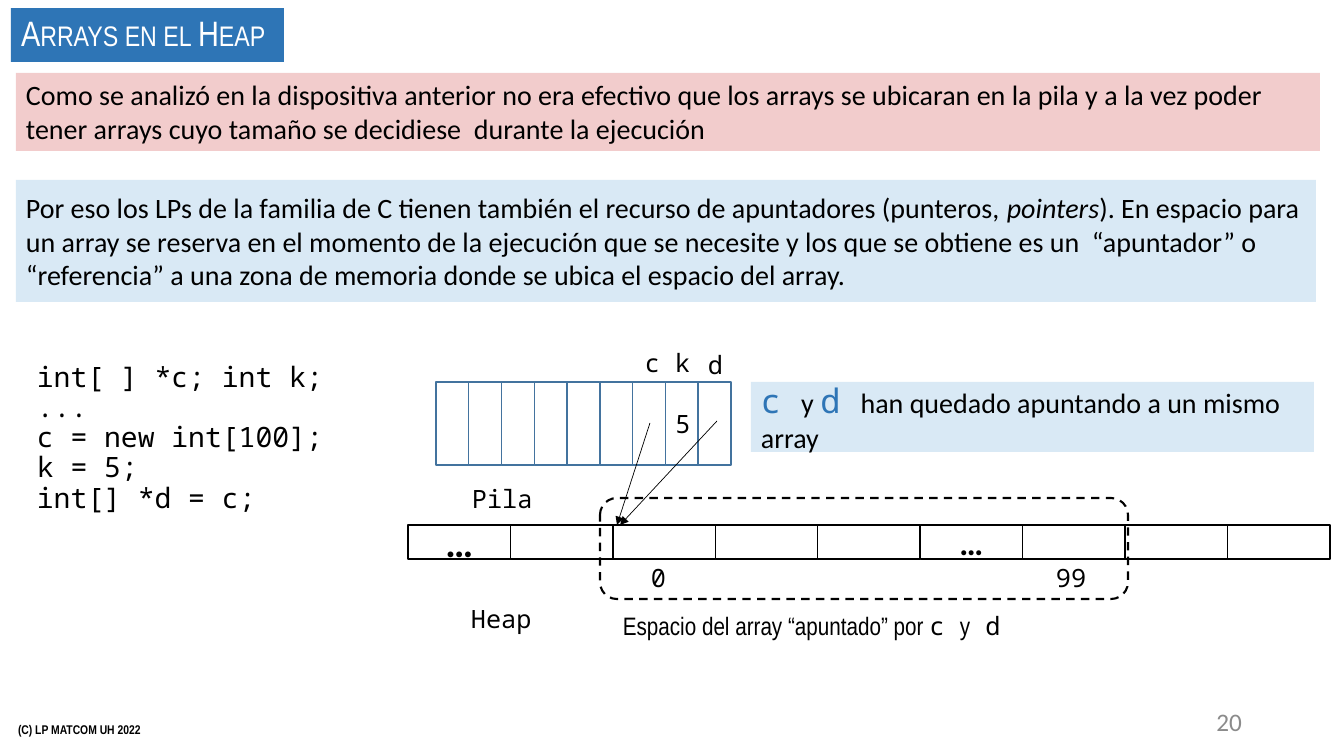
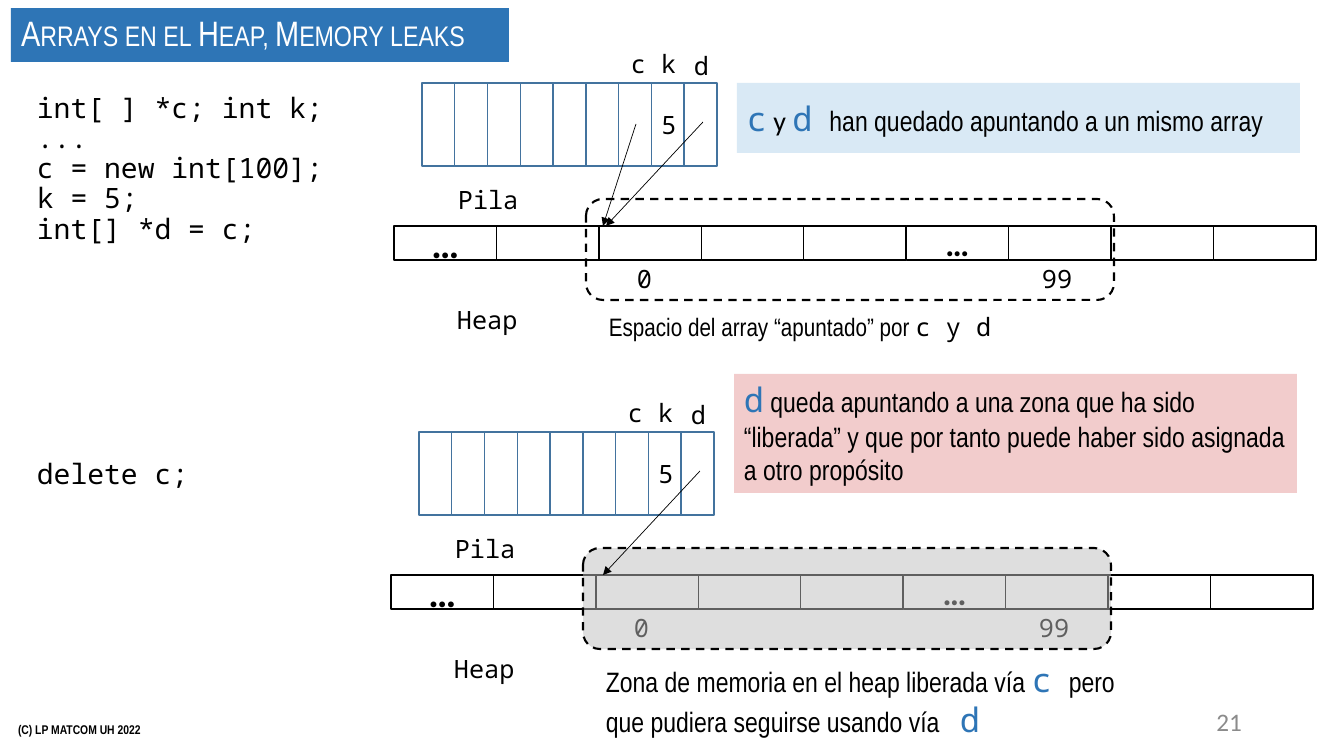
import copy
import typing

import pptx
import pptx.dml.color
import pptx.enum.dml
import pptx.enum.shapes
import pptx.enum.text
import pptx.oxml
import pptx.oxml.ns
import pptx.util

RGB = pptx.dml.color.RGBColor
SHAPE = pptx.enum.shapes.MSO_SHAPE
HOLDER = pptx.enum.shapes.PP_PLACEHOLDER
ANCHOR = pptx.enum.text.MSO_ANCHOR
ALIGN = pptx.enum.text.PP_ALIGN
qn = pptx.oxml.ns.qn

BLACK = RGB(0x00, 0x00, 0x00)
WHITE = RGB(0xFF, 0xFF, 0xFF)
BLUE = RGB(0x2E, 0x75, 0xB6)
STACK_LINE = RGB(0x43, 0x73, 0x9E)
RED_TINT = RGB(0xC0, 0x00, 0x00)
BLUE_TINT = RGB(0x00, 0x70, 0xC0)
FREED_GRAY = RGB(0xBF, 0xBF, 0xBF)

EMU_PER_PX = 914400 / 100.8
SLIDE_SIZE = (1344, 756)
FIRST_NUMBER = 20
FOOTER = "(C) LP MATCOM UH 2022"
TITLE_LEFT, TITLE_TOP, TITLE_HEIGHT = 11, 8, 54
STACK_CELLS, STACK_SPAN, STACK_HEIGHT = 9, 295, 83
HEAP_CELLS, HEAP_SPAN, HEAP_TOP, HEAP_HEIGHT = 9, 922, 143, 34
CALLOUT_LEFT, CALLOUT_WIDTH = 343, 563


class Style(typing.NamedTuple):
    """Look of a run of text."""
    font: str
    size: float
    color: RGB = BLACK
    bold: bool = False
    italic: bool = False


TITLE = Style("Arial Narrow", 25.2, WHITE)
FOOT = Style("Arial Narrow", 9, bold=True)
BODY = Style("Calibri", 20)
BODY_ITALIC = BODY._replace(italic=True)
NARROW = Style("Arial Narrow", 20)
NARROW_SMALL = Style("Arial Narrow", 18)
CODE = Style("Noto Sans Mono", 20)
LABEL = Style("Noto Sans Mono", 18)
VARIABLE = Style("Noto Sans Mono", 24, BLUE)

CODE_LINES = ["int[ ] *c; int k;", "...", "c = new int[100];", "k = 5;", "int[] *d = c;"]


def px(length):
    """Turn pixels into EMU."""
    return pptx.util.Emu(round(length * EMU_PER_PX))


def place(shape, box):
    """Move and size a shape to a box in pixels."""
    shape.left, shape.top, shape.width, shape.height = map(px, box)


def format_run(run, style):
    """Apply a style to a run."""
    run.font.name = style.font
    run.font.size = pptx.util.Pt(style.size)
    run.font.color.rgb = style.color
    run.font.bold = style.bold
    run.font.italic = style.italic


def write(shape, parts, anchor=ANCHOR.TOP, align=ALIGN.LEFT):
    """Write one paragraph of (text, style) parts into a shape."""
    frame = shape.text_frame
    frame.word_wrap = True
    frame.vertical_anchor = anchor
    paragraph = frame.paragraphs[0]
    paragraph.alignment = align
    for text, style in parts:
        run = paragraph.add_run()
        run.text = text
        format_run(run, style)


def add_text(slide, box, parts):
    """Add a text box."""
    holder = slide.shapes.add_textbox(*map(px, box))
    write(holder, parts)


def add_box(slide, kind, box, fill=None, opacity=100, line=None, width=1):
    """Add a preset shape with an optional fill and outline."""
    shape = slide.shapes.add_shape(kind, *map(px, box))
    shape.shadow.inherit = False
    if fill is None:
        shape.fill.background()
    else:
        shape.fill.solid()
        shape.fill.fore_color.rgb = fill
        if opacity < 100:
            color = shape.fill._xPr.find(qn("a:solidFill"))[0]
            alpha = pptx.oxml.parse_xml(
                f'<a:alpha {pptx.oxml.ns.nsdecls("a")} val="{opacity * 1000}"/>')
            color.append(alpha)
    if line is None:
        shape.line.fill.background()
    else:
        shape.line.color.rgb = line
        shape.line.width = pptx.util.Pt(width)
    return shape


def add_note(slide, box, parts, tint, opacity, anchor=ANCHOR.MIDDLE):
    """Add a tinted panel of text."""
    panel = add_box(slide, SHAPE.RECTANGLE, box, tint, opacity)
    write(panel, parts, anchor)


def add_pointer(slide, start, end):
    """Add a thin arrow from start to end."""
    arrow = slide.shapes.add_connector(
        pptx.enum.shapes.MSO_CONNECTOR.STRAIGHT, *map(px, start + end))
    arrow.line.color.rgb = BLACK
    arrow.line.width = pptx.util.Pt(0.5)
    namespace = pptx.oxml.ns.nsdecls("a")
    arrow.line._get_or_add_ln().append(
        pptx.oxml.parse_xml(f'<a:tailEnd {namespace} type="triangle"/>'))
    arrow._element.spPr.append(pptx.oxml.parse_xml(f"<a:effectLst {namespace}/>"))


def add_code(slide, top, lines):
    """Add a listing whose lines hang by half an inch."""
    listing = slide.shapes.add_textbox(*map(px, (27, top, 350, 10 + 31 * len(lines))))
    frame = listing.text_frame
    frame.word_wrap = True
    frame.text = "\n".join(lines)
    hang = pptx.util.Inches(0.5)
    for paragraph in frame.paragraphs:
        paragraph.line_spacing = 0.9
        properties = paragraph._p.get_or_add_pPr()
        properties.set("marL", str(hang))
        properties.set("indent", str(-hang))
        format_run(paragraph.runs[0], CODE)


def add_cells(slide, box, count, texts, fill, line):
    """Split a box into a row of equal cells, some of them with text."""
    left, top, span, height = box
    pitch = span / count
    for index in range(count):
        cell = add_box(slide, SHAPE.RECTANGLE,
                       (left + index * pitch, top, pitch, height), fill, line=line)
        if index in texts:
            write(cell, [texts[index]], ANCHOR.MIDDLE, ALIGN.CENTER)


def add_memory(slide, left, top, caption, freed=False):
    """Draw the stack above the heap; left is the heap's, top the stack's."""
    ellipsis = Style("Calibri", 28, bold=True)
    add_cells(slide, (left, top + HEAP_TOP, HEAP_SPAN, HEAP_HEIGHT), HEAP_CELLS,
              {0: ("…", ellipsis), 5: ("…", ellipsis._replace(size=24))}, None, BLACK)
    add_cells(slide, (left + 28, top, STACK_SPAN, STACK_HEIGHT), STACK_CELLS,
              {7: ("5", LABEL)}, WHITE, STACK_LINE)
    labels = [("c", 227, -40, 30), ("k", 257, -40, 30), ("d", 290, -38, 30),
              ("Pila", 54, 96, 192), ("Heap", 53, 216, 83),
              ("0", 233, 175, 83), ("99", 638, 175, 83)]
    for text, across, down, width in labels:
        add_text(slide, (left + across, top + down, width, 40), [(text, LABEL)])
    array = add_box(slide, SHAPE.ROUNDED_RECTANGLE, (left + 192, top + 116, 528, 101),
                    FREED_GRAY if freed else None, 50, BLACK, 1.5)
    array.line.dash_style = pptx.enum.dml.MSO_LINE.DASH
    if not freed:
        add_pointer(slide, (left + 242, top + 41), (left + 209, top + HEAP_TOP))
    add_pointer(slide, (left + 309, top + 39), (left + 212, top + HEAP_TOP))
    add_text(slide, (left + 205, top + (222 if freed else 223), 534, 92 if freed else 40),
             caption)


def start_slide(deck, title, title_width):
    """Add a slide with its title band, footer and number."""
    slide = deck.slides.add_slide(deck.slide_layouts[5])
    band = slide.shapes.title
    place(band, (TITLE_LEFT, TITLE_TOP, title_width, TITLE_HEIGHT))
    band.fill.solid()
    band.fill.fore_color.rgb = BLUE
    write(band, [(title, TITLE)], ANCHOR.MIDDLE)
    heading = band.text_frame.paragraphs[0]
    heading.line_spacing = 0.9
    heading.runs[0].font._element.set("cap", "small")

    for source in slide.slide_layout.placeholders:
        kind = source.placeholder_format.type
        if kind not in (HOLDER.FOOTER, HOLDER.SLIDE_NUMBER):
            continue
        slide.shapes.element.append(copy.deepcopy(source.element))
        holder = slide.shapes[-1]
        if kind == HOLDER.FOOTER:
            place(holder, (8, 709, 454, 40))
            write(holder, [(FOOTER, FOOT)], ANCHOR.MIDDLE)
        else:
            place(holder, (950, 701, 302, 40))
            for number in holder.element.iter(qn("a:t")):
                number.text = str(FIRST_NUMBER + len(deck.slides) - 1)
    return slide


def build_heap_slide(deck):
    """Arrays placed in the heap."""
    slide = start_slide(deck, "Arrays en el Heap", 273)
    add_note(slide, (16, 73, 1304, 78), [
        ("Como se analizó en la dispositiva anterior no era efectivo que los arrays se "
         "ubicaran en la pila y a la vez poder tener arrays cuyo tamaño se decidiese  "
         "durante la ejecución", BODY)], RED_TINT, 20, ANCHOR.TOP)
    add_note(slide, (16, 180, 1300, 122), [
        ("Por eso los LPs de la familia de C tienen también el recurso de apuntadores "
         "(punteros, ", BODY),
        ("pointers", BODY_ITALIC),
        ("). En espacio para un array se reserva en el momento de la ejecución que se "
         "necesite y los que se obtiene es un  “apuntador” o “referencia” a una zona de "
         "memoria donde se ubica el espacio del array.", BODY)], BLUE_TINT, 15)
    add_code(slide, 358, CODE_LINES)
    left, top = 408, 382
    add_memory(slide, left, top, [
        ("Espacio del array “apuntado” por ", NARROW_SMALL), ("c ", LABEL),
        ("y", NARROW_SMALL), (" d", LABEL)])
    add_note(slide, (left + CALLOUT_LEFT, top, CALLOUT_WIDTH, 70), [
        ("c ", VARIABLE), ("y ", BODY), ("d ", VARIABLE),
        ("han quedado apuntando a un mismo array", BODY)], BLUE_TINT, 15)


def build_leak_slide(deck):
    """Memory before and after the array is freed."""
    slide = start_slide(deck, "Arrays en el Heap, Memory leaks", 498)
    add_code(slide, 89, CODE_LINES)
    left, top = 394, 83
    add_memory(slide, left, top, [
        ("Espacio del array “apuntado” por ", NARROW_SMALL), ("c y d", LABEL)])
    add_note(slide, (left + CALLOUT_LEFT, top, CALLOUT_WIDTH, 70), [
        ("c", VARIABLE), (" y ", BODY), ("d", VARIABLE), (" ", CODE),
        ("han quedado apuntando a un mismo array", NARROW)], BLUE_TINT, 15)

    add_code(slide, 455, ["delete c;"])
    left, top = 391, 432
    add_memory(slide, left, top, [
        ("Zona de memoria en el heap liberada vía ", NARROW), ("c", VARIABLE),
        (" ", CODE), ("pero que pudiera seguirse usando vía", NARROW),
        (" d", VARIABLE)], freed=True)
    add_note(slide, (left + CALLOUT_LEFT, top - 58, CALLOUT_WIDTH, 119), [
        ("d", VARIABLE), (" ", BODY),
        ("queda apuntando a una zona que ha sido “liberada” y que por tanto puede haber "
         "sido asignada a otro propósito", NARROW)], RED_TINT, 20, ANCHOR.TOP)


def main():
    """Build and save the presentation."""
    deck = pptx.Presentation()
    deck.slide_width, deck.slide_height = map(px, SLIDE_SIZE)
    deck.element.set("firstSlideNum", str(FIRST_NUMBER))
    build_heap_slide(deck)
    build_leak_slide(deck)
    deck.save("out.pptx")


if __name__ == "__main__":
    main()
